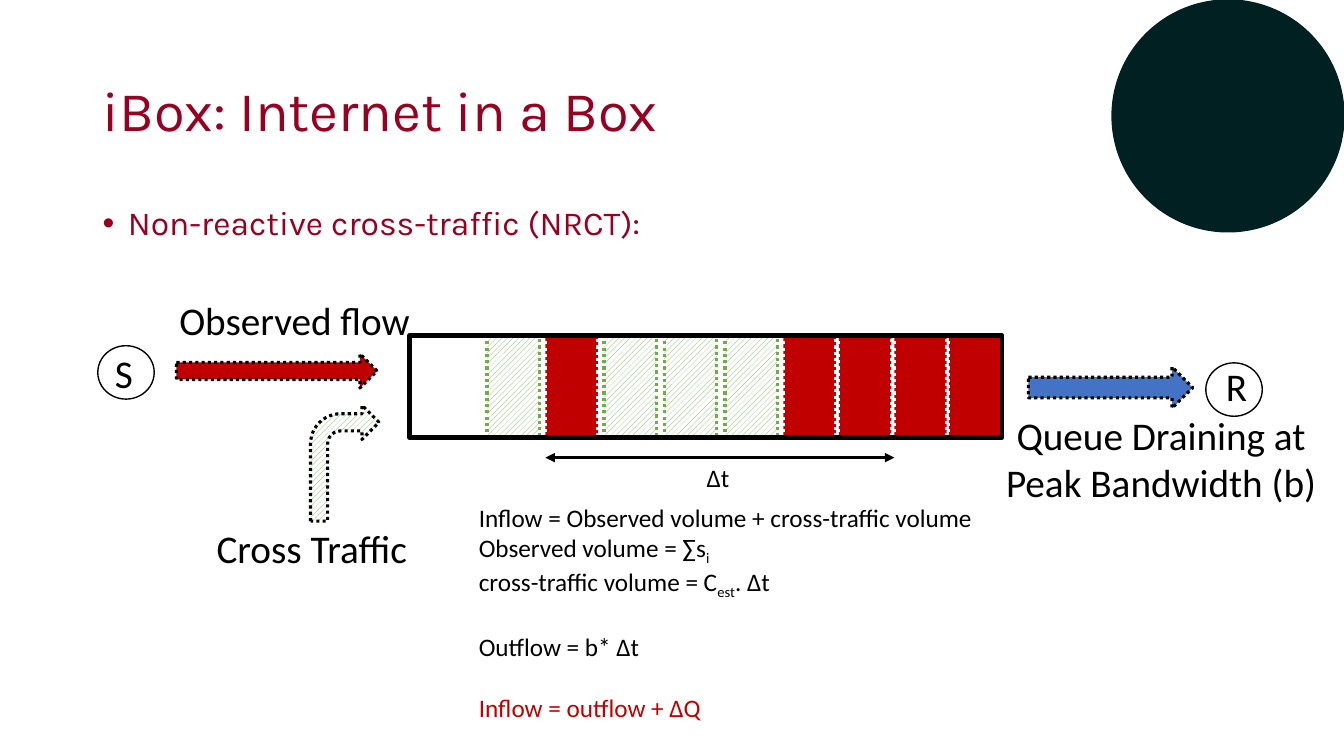
import pptx
import pptx.util
import pptx.dml.color
import pptx.enum.dml
import pptx.enum.shapes
import pptx.enum.text
import pptx.oxml.ns
from lxml import etree

Inches, Pt = pptx.util.Inches, pptx.util.Pt
SHAPE = pptx.enum.shapes.MSO_SHAPE
ALIGN = pptx.enum.text.PP_ALIGN
qn = pptx.oxml.ns.qn

COLORS = {"black": "000000", "white": "FFFFFF", "maroon": "970021", "red": "C00000",
          "green": "70AD47", "blue": "4472C4", "dark": "002021"}

TITLE = "iBox: Internet in a Box"
TOPIC = "Non-reactive cross-traffic (NRCT):"

# Queue slots from left to right: left edge, kind of traffic
PACKETS = [(4.83, "cross"), (5.41, "observed"), (5.99, "cross"), (6.59, "cross"),
           (7.19, "cross"), (7.77, "observed"), (8.32, "observed"),
           (8.87, "observed"), (9.41, "observed")]
PACKET_TOP, PACKET_WIDTH, PACKET_HEIGHT = 3.34, 0.52, 1
QUEUE = (4.06, 3.33, 5.88, 1.01)

# Preset, box, fill
FLOW_ARROWS = [(SHAPE.RIGHT_ARROW, (1.75, 3.51, 1.99, 0.34), "red"),
               (SHAPE.BENT_ARROW, (3.08, 4.02, 0.68, 1.15), "hatch"),
               (SHAPE.RIGHT_ARROW, (10.2, 3.64, 1.63, 0.41), "blue")]

# Text, box, alignment
FLOW_LABELS = [("Observed flow", (1.68, 2.89, 3, 0.57), ALIGN.LEFT),
               ("Cross Traffic", (2.05, 5.15, 2.19, 0.57), ALIGN.LEFT),
               ("Queue Draining at Peak Bandwidth (b) ", (9.84, 4.03, 3.35, 1.51), ALIGN.CENTER)]

# Letter, circle box, letter box
ENDPOINTS = [("S", (0.97, 3.43, 0.56, 0.53), (1.04, 3.42, 0.38, 0.57)),
             ("R", (11.96, 3.6, 0.56, 0.53), (12.06, 3.55, 0.42, 0.57))]

# Runs (text, is subscript), space before in points, color
EQUATIONS = [
    ([("Inflow = Observed volume + cross-traffic volume", False)], 0, "black"),
    ([("Observed volume = ∑s", False), ("i", True)], 0, "black"),
    ([("cross-traffic volume = C", False), ("est", True), (". Δt", False)], 0, "black"),
    ([("Outflow = b* Δt", False)], 22, "black"),
    ([("Inflow = outflow + ΔQ", False)], 22, "red"),
]

prs = pptx.Presentation()
prs.slide_width, prs.slide_height = Inches(13.33), Inches(7.5)
slide = prs.slides.add_slide(prs.slide_layouts[6])


def rgb(name):
    return pptx.dml.color.RGBColor.from_string(COLORS[name])


def add_outlined(preset, box, fill, line, weight, dotted=False):
    """Add a shape; fill is a color name, "hatch" for green stripes, or None."""
    shape = slide.shapes.add_shape(preset, *map(Inches, box))
    shape.shadow.inherit = False
    if fill is None:
        shape.fill.background()
    elif fill == "hatch":
        shape.fill.patterned()
        shape.fill.pattern = pptx.enum.dml.MSO_PATTERN.WIDE_UPWARD_DIAGONAL
        shape.fill.fore_color.rgb = rgb("green")
        shape.fill.back_color.rgb = rgb("white")
    else:
        shape.fill.solid()
        shape.fill.fore_color.rgb = rgb(fill)
    shape.line.color.rgb = rgb(line)
    shape.line.width = Pt(weight)
    if dotted:
        shape.line.dash_style = pptx.enum.dml.MSO_LINE.ROUND_DOT


def style(run, size, color="black", font="Calibri"):
    run.font.size, run.font.name = Pt(size), font
    run.font.color.rgb = rgb(color)


def add_text(text, box, size, color="black", font="Calibri", align=ALIGN.LEFT, wrap=True):
    frame = slide.shapes.add_textbox(*map(Inches, box)).text_frame
    frame.word_wrap = wrap
    frame.text = text
    paragraph = frame.paragraphs[0]
    paragraph.alignment = align
    for run in paragraph.runs:
        style(run, size, color, font)
    return frame


def add_bullet(paragraph, indent):
    properties = paragraph._p.get_or_add_pPr()
    properties.set("marL", str(Inches(indent)))
    properties.set("indent", str(-Inches(indent)))
    etree.SubElement(properties, qn("a:buFont")).set("typeface", "Arial")
    etree.SubElement(properties, qn("a:buChar")).set("char", "•")


def add_double_arrow(left, right, y):
    arrow = slide.shapes.add_connector(pptx.enum.shapes.MSO_CONNECTOR.STRAIGHT,
                                       Inches(left), Inches(y), Inches(right), Inches(y))
    arrow.line.color.rgb = rgb("black")
    arrow.line.width = Pt(2.25)
    for end in ("a:headEnd", "a:tailEnd"):
        etree.SubElement(arrow.line._get_or_add_ln(), qn(end)).set("type", "triangle")
    etree.SubElement(arrow._element.spPr, qn("a:effectLst"))


# Heading
title = add_text(TITLE, (0.92, 0.4, 11.5, 1.45), 40, "maroon", "Karla")
title.vertical_anchor = pptx.enum.text.MSO_ANCHOR.MIDDLE
title.paragraphs[0].line_spacing = 0.9
topic = add_text(TOPIC, (0.92, 2, 11.5, 0.6), 24, "maroon", "Karla")
topic.paragraphs[0].line_spacing = 0.9
add_bullet(topic.paragraphs[0], 0.25)
add_outlined(SHAPE.OVAL, (11.03, 0, 2.3, 2.3), "dark", "dark", 1)

# Queue
for left, traffic in PACKETS:
    fill, line = ("hatch", "green") if traffic == "cross" else ("red", "white")
    add_outlined(SHAPE.RECTANGLE, (left, PACKET_TOP, PACKET_WIDTH, PACKET_HEIGHT),
                 fill, line, 2.25, dotted=True)
add_outlined(SHAPE.RECTANGLE, QUEUE, None, "black", 3.25)

# Flows and endpoints
for preset, box, fill in FLOW_ARROWS:
    add_outlined(preset, box, fill, "black", 2.25, dotted=True)
for text, box, align in FLOW_LABELS:
    add_text(text, box, 28, align=align)
for letter, circle, box in ENDPOINTS:
    add_outlined(SHAPE.OVAL, circle, None, "black", 1)
    add_text(letter, box, 28, wrap=False)

# Time window and equations
add_double_arrow(5.41, 8.87, 4.54)
add_text("Δt", (6.91, 4.54, 0.45, 0.4), 18)
equations = add_text("", (4.65, 4.93, 5.81, 2.73), 18)
for index, (runs, space, color) in enumerate(EQUATIONS):
    paragraph = equations.add_paragraph() if index else equations.paragraphs[0]
    if space:
        paragraph.space_before = Pt(space)
    for text, subscript in runs:
        run = paragraph.add_run()
        run.text = text
        style(run, 18, color)
        if subscript:
            run.font._element.set("baseline", "-25000")

prs.save("out.pptx")
